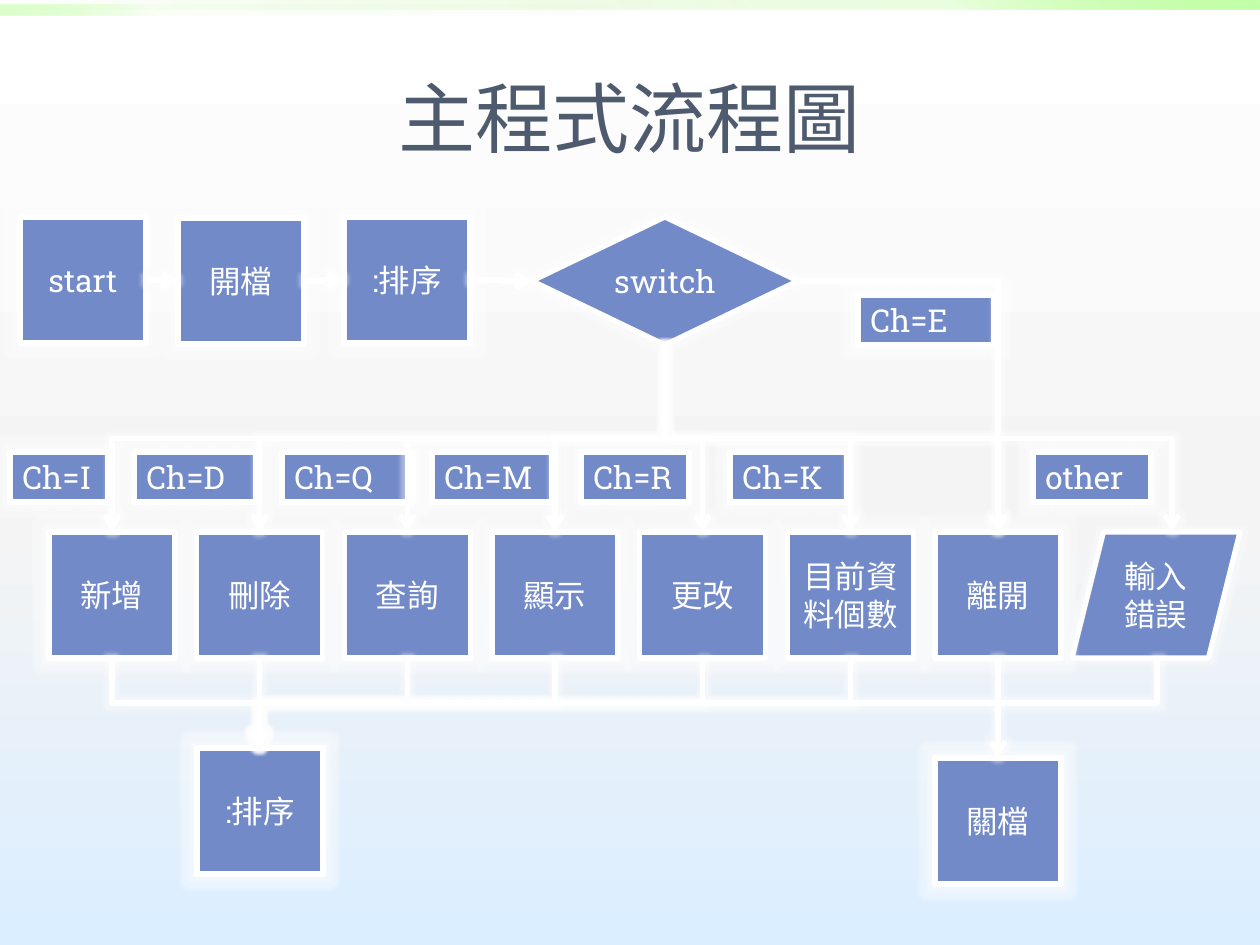
import pptx
import pptx.dml.color
import pptx.enum.shapes
import pptx.enum.text
import pptx.oxml
import pptx.oxml.ns
import pptx.util
from lxml import etree

RGBColor = pptx.dml.color.RGBColor
SHAPES = pptx.enum.shapes.MSO_SHAPE
ALIGN = pptx.enum.text.PP_ALIGN
ANCHOR = pptx.enum.text.MSO_ANCHOR
qn = pptx.oxml.ns.qn

WHITE = RGBColor(0xFF, 0xFF, 0xFF)
BOX_BLUE = RGBColor(0x73, 0x8A, 0xC8)
TITLE_SLATE = RGBColor(0x4E, 0x5B, 0x6F)
FONT = "Roboto Slab"
SCALE = 914400 / 126

# Content
TITLE = "主程式流程圖"
ACTIONS = ["新增", "刪除", "查詢", "顯示", "更改", "目前資料個數", "離開"]
LEAVE = ACTIONS.index("離開")
STEPS = [  # text, shape, left, top, width, height
    ("start", SHAPES.RECTANGLE, 20, 217, 126, 126),
    ("開檔", SHAPES.RECTANGLE, 178, 218, 126, 126),
    (":排序", SHAPES.RECTANGLE, 344, 217, 126, 126),
    ("switch", SHAPES.DIAMOND, 532, 217, 266, 128),
    ("輸入錯誤", SHAPES.PARALLELOGRAM, 1072, 532, 168, 126),
    (":排序", SHAPES.RECTANGLE, 197, 748, 126, 126),
    ("關檔", SHAPES.RECTANGLE, 935, 758, 126, 126),
]
CASES = [  # text, left, top, width
    ("Ch=I", 10, 452, 98), ("Ch=D", 134, 452, 122),
    ("Ch=Q", 282, 452, 131), ("Ch=M", 432, 452, 120),
    ("Ch=R", 581, 452, 108), ("Ch=K", 730, 452, 117),
    ("other", 1033, 452, 118), ("Ch=E", 858, 295, 136),
]
STEP_ARROWS = [(146, 280, 178, 281), (304, 281, 344, 280), (470, 280, 532, 281)]

# Grid
BOX = 126
ACTION_TOP, ACTION_LEFT, ACTION_STEP = 532, 49, 443 / 3
CASE_HEIGHT = 50
SWITCH_X, SWITCH_RIGHT, SWITCH_Y, SWITCH_BOTTOM = 665, 798, 281, 345
SORT_TOP, CLOSE_TOP = 748, 758
ERROR_TOP_X, ERROR_BOTTOM_X = 1172, 1157

# Gradients: position, colour, opacity
BACKGROUND = [(0, "FFFFFF", 100), (55, "F4F4F4", 100), (100, "DBEEFF", 100)]
BARS = [  # left, top, width, height, stops, angle
    (0, 0, 1260, 10, [(0, "5AC600", 0), (75, "99FF62", 20), (100, "C4FFAA", 100)], 315),
    (0, 5, 630, 10, [(0, "5AC600", 0), (75, "99FF62", 5), (100, "C4FFAA", 60)], 135),
]


def px(*lengths):
    """Turn pixel lengths into EMU."""
    return [pptx.util.Emu(round(length * SCALE)) for length in lengths]


def apply(target, values):
    """Set each attribute in values on the target."""
    for name, value in values.items():
        setattr(target, name, value)


def gradient(stops, angle):
    """Return a linear gradient fill element."""
    fill = etree.Element(qn("a:gradFill"))
    stop_list = etree.SubElement(fill, qn("a:gsLst"))
    for position, colour, opacity in stops:
        stop = etree.SubElement(stop_list, qn("a:gs"), pos=str(position * 1000))
        rgb = etree.SubElement(stop, qn("a:srgbClr"), val=colour)
        etree.SubElement(rgb, qn("a:alpha"), val=str(opacity * 1000))
    etree.SubElement(fill, qn("a:lin"), ang=str(angle * 60000), scaled="0")
    return fill


def glow(properties):
    """Replace the theme shadow with a soft white glow."""
    effects = properties.find(qn("a:effectLst"))
    if effects is None:
        effects = etree.SubElement(properties, qn("a:effectLst"))
    halo = etree.SubElement(effects, qn("a:glow"), rad="63500")
    rgb = etree.SubElement(halo, qn("a:srgbClr"), val=str(WHITE))
    etree.SubElement(rgb, qn("a:alpha"), val="40000")


def write(shape, text, size, colour, align, anchor):
    """Put one formatted paragraph into a shape."""
    frame = shape.text_frame
    apply(frame, {"text": text, "word_wrap": True, "vertical_anchor": anchor})
    paragraph = frame.paragraphs[0]
    paragraph.alignment = align
    font = paragraph.runs[0].font
    apply(font, {"name": FONT, "size": pptx.util.Pt(size)})
    font.color.rgb = colour


def outline(line):
    """Give a line the white flowchart stroke."""
    line.color.rgb = WHITE
    line.width = pptx.util.Pt(3)


def add_box(slide, text, kind, left, top, width, height,
            align=ALIGN.CENTER, anchor=ANCHOR.MIDDLE):
    """Add a blue flowchart shape with white text."""
    shape = slide.shapes.add_shape(kind, *px(left, top, width, height))
    shape.shadow.inherit = False
    shape.fill.solid()
    shape.fill.fore_color.rgb = BOX_BLUE
    outline(shape.line)
    glow(shape.element.spPr)
    write(shape, text, 18, WHITE, align, anchor)


def add_arrow(slide, x1, y1, x2, y2, geometry="bentConnector3"):
    """Add an elbow arrow that leaves its start sideways."""
    arrow = slide.shapes.add_connector(
        pptx.enum.shapes.MSO_CONNECTOR.ELBOW, *px(x1, y1, x2, y2))
    properties = arrow.element.spPr
    properties.find(qn("a:prstGeom")).set("prst", geometry)
    outline(arrow.line)
    etree.SubElement(properties.find(qn("a:ln")), qn("a:tailEnd"), type="arrow")
    glow(properties)
    return arrow


def add_drop(slide, x1, y1, x2, y2):
    """Add an elbow arrow that leaves its start downwards."""
    across, down = abs(x2 - x1), y2 - y1
    left, top = (x1 + x2 - down) / 2, (y1 + y2 - across) / 2
    arrow = add_arrow(slide, left, top, left + down, top + across)
    transform = arrow.element.spPr.find(qn("a:xfrm"))
    transform.set("rot", str((270 if x2 > x1 else 90) * 60000))
    if x2 > x1:
        transform.set("flipH", "1")


def build():
    """Build and save the flowchart slide."""
    presentation = pptx.Presentation()
    width, height = px(1260, 945)
    apply(presentation, {"slide_width": width, "slide_height": height})
    slide = presentation.slides.add_slide(presentation.slide_layouts[5])

    slide.background.fill.solid()
    background = slide.element.find(".//" + qn("p:bgPr"))
    background.replace(background[0], gradient(BACKGROUND, 90))

    title = slide.shapes.title
    for *place, stops, angle in BARS:
        bar = slide.shapes.add_shape(SHAPES.RECTANGLE, *px(*place))
        bar.shadow.inherit = False
        bar.line.fill.background()
        bar.fill.solid()
        properties = bar.element.spPr
        properties.replace(properties.find(qn("a:solidFill")), gradient(stops, angle))
        title.element.addprevious(bar.element)

    apply(title, dict(zip(("left", "top", "width", "height"), px(63, 38, 1134, 157))))
    write(title, TITLE, 44, TITLE_SLATE, ALIGN.CENTER, ANCHOR.MIDDLE)

    for step in STEPS:
        add_box(slide, *step)
    lefts = [ACTION_LEFT + index * ACTION_STEP for index in range(len(ACTIONS))]
    for text, left in zip(ACTIONS, lefts):
        add_box(slide, text, SHAPES.RECTANGLE, left, ACTION_TOP, BOX, BOX)
    for text, left, top, case_width in CASES:
        add_box(slide, text, SHAPES.RECTANGLE, left, top, case_width, CASE_HEIGHT,
                ALIGN.LEFT, ANCHOR.TOP)

    centres = [left + BOX / 2 for left in lefts]
    leave_x, sort_x = centres[LEAVE], centres[1]
    action_bottom = ACTION_TOP + BOX
    for ends in STEP_ARROWS:
        add_arrow(slide, *ends)
    add_arrow(slide, SWITCH_RIGHT, SWITCH_Y, leave_x, ACTION_TOP, "bentConnector2")
    add_drop(slide, leave_x, action_bottom, leave_x, CLOSE_TOP)
    for x in centres + [ERROR_TOP_X]:
        add_drop(slide, SWITCH_X, SWITCH_BOTTOM, x, ACTION_TOP)
    for x in centres[:LEAVE] + [ERROR_BOTTOM_X]:
        add_drop(slide, x, action_bottom, sort_x, SORT_TOP)

    presentation.save("out.pptx")


build()
